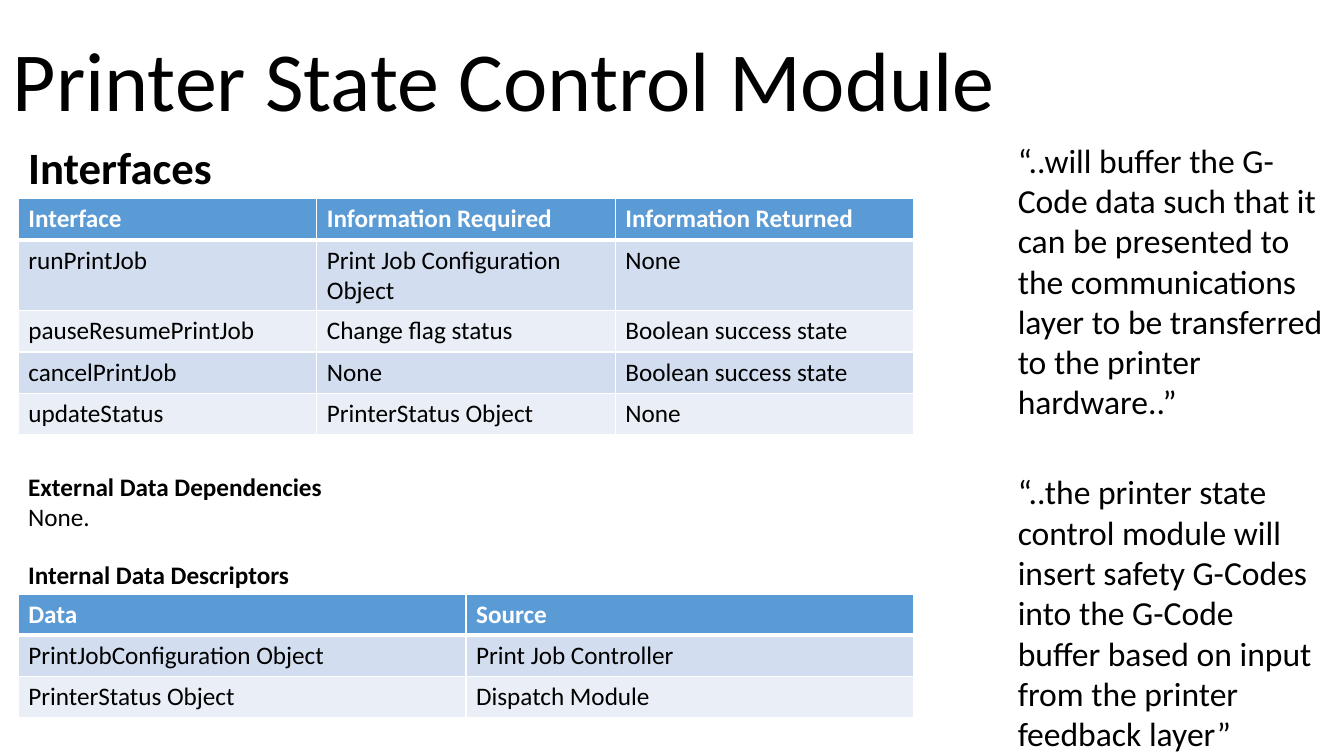
import pptx
import pptx.util
import pptx.dml.color
import pptx.enum.text
import pptx.oxml

Cm = pptx.util.Cm
Pt = pptx.util.Pt
RGB = pptx.dml.color.RGBColor
ENUM = pptx.enum.text

BLACK = RGB(0, 0, 0)
WHITE = RGB(255, 255, 255)
BLUE = RGB(0x5B, 0x9B, 0xD5)
BANDS = (RGB(0xD2, 0xDE, 0xEF), RGB(0xEA, 0xEF, 0xF7))
NS = "http://schemas.openxmlformats.org/drawingml/2006/main"

LEFT = 0.46
RIGHT = 25.4
TOP = 3.39
LOW = 11.75
WIDE = 22.57
ROW = 1.04


def set_all(item, vals):
    for name, val in vals.items():
        setattr(item, name, val)


def style(para, size, color=BLACK, bold=False):
    for run in para.runs:
        set_all(run.font, {"name": "Calibri", "size": Pt(size), "bold": bold})
        run.font.color.rgb = color


def add_text(slide, box, lines, size, anchor=ENUM.MSO_ANCHOR.TOP, **form):
    frame = slide.shapes.add_textbox(*map(Cm, box)).text_frame
    set_all(frame, {"word_wrap": True, "vertical_anchor": anchor})
    frame.text = "\n".join(text for text, bold in lines)
    for para, (text, bold) in zip(frame.paragraphs, lines):
        set_all(para, form)
        style(para, size, bold=bold)


def add_edges(cell, widths):
    props = cell._tc.get_or_add_tcPr()
    for side, width in zip("LRTB", widths):
        props.append(pptx.oxml.parse_xml(
            f'<a:ln{side} xmlns:a="{NS}" w="{Pt(width)}"><a:solidFill>'
            f'<a:srgbClr val="{WHITE}"/></a:solidFill></a:ln{side}>'))


def add_grid(slide, top, rows, head):
    count = len(rows[0])
    high = head + ROW * (len(rows) - 1)
    box = map(Cm, (LEFT, top, WIDE, high))
    table = slide.shapes.add_table(len(rows), count, *box).table
    for col in table.columns:
        col.width = Cm(WIDE / count)
    for i, row in enumerate(rows):
        table.rows[i].height = Cm(ROW if i else head)
        for j, text in enumerate(row):
            cell = table.cell(i, j)
            cell.text = text
            add_edges(cell, (1, 1, 3 if i == 1 else 1, 1 if i else 3))
            cell.fill.solid()
            cell.fill.fore_color.rgb = BANDS[(i - 1) % 2] if i else BLUE
            style(cell.text_frame.paragraphs[0], 18,
                  BLACK if i else WHITE, i == 0)


def main():
    deck = pptx.Presentation()
    set_all(deck, {"slide_width": Cm(33.87), "slide_height": Cm(19.05)})
    slide = deck.slides.add_slide(deck.slide_layouts[6])

    add_text(slide, (0, 0, 25.4, TOP),
             [("Printer State Control Module", False)], 60,
             ENUM.MSO_ANCHOR.BOTTOM,
             alignment=ENUM.PP_ALIGN.CENTER, line_spacing=0.9)
    add_text(slide, (LEFT, TOP, 7.95, 1.62), [("Interfaces", True)], 32)
    add_grid(slide, 5.01, [
        ("Interface", "Information Required", "Information Returned"),
        ("runPrintJob", "Print Job Configuration Object", "None"),
        ("pauseResumePrintJob", "Change flag status",
         "Boolean success state"),
        ("cancelPrintJob", "None", "Boolean success state"),
        ("updateStatus", "PrinterStatus Object", "None"),
    ], ROW)
    add_text(slide, (LEFT, LOW, 9.1, 1.8),
             [("External Data Dependencies", True), ("None.", False)], 18)
    add_text(slide, (LEFT, 13.96, 9.1, 1.03),
             [("Internal Data Descriptors", True)], 18)
    add_grid(slide, 14.99, [
        ("Data", "Source"),
        ("PrintJobConfiguration Object", "Print Job Controller"),
        ("PrinterStatus Object", "Dispatch Module"),
    ], 0.71)
    quotes = {
        TOP: "“..will buffer the G-Code data such that it can be presented "
             "to the communications layer to be transferred to the printer "
             "hardware..”",
        LOW: "“..the printer state control module will insert safety "
             "G-Codes into the G-Code buffer based on input from the "
             "printer feedback layer”",
    }
    for top, text in quotes.items():
        add_text(slide, (RIGHT, top, 8.18, 7.44), [(text, False)], 24)
    deck.save("out.pptx")


main()
